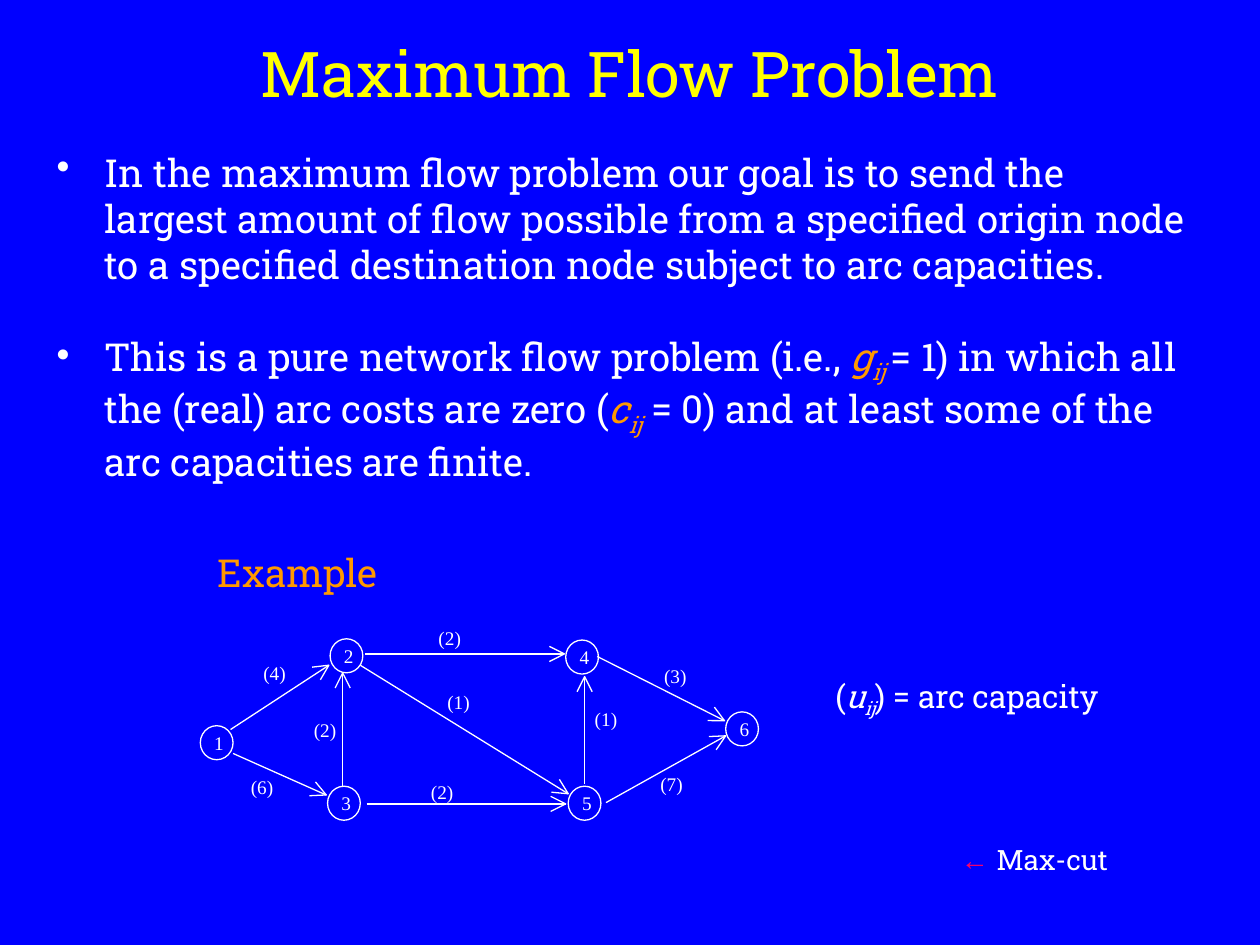
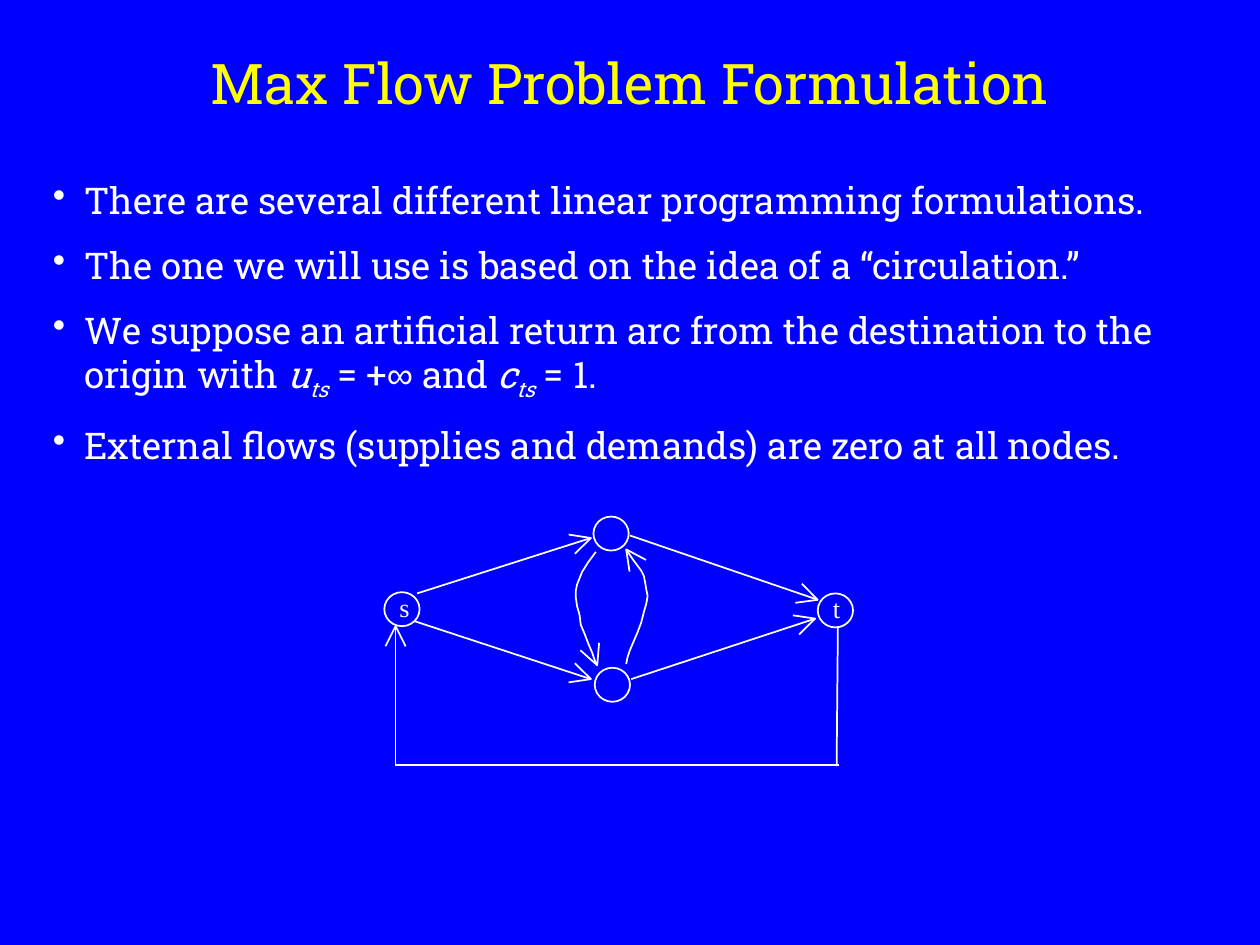
from math import hypot

from lxml.etree import SubElement
from pptx import Presentation
from pptx.dml.color import RGBColor
from pptx.enum.shapes import MSO_CONNECTOR, MSO_SHAPE
from pptx.enum.text import MSO_ANCHOR, MSO_AUTO_SIZE, PP_ALIGN
from pptx.oxml.ns import qn
from pptx.util import Inches, Pt

# Shared look
BLUE = RGBColor(0x00, 0x00, 0xFF)
WHITE = RGBColor(0xFF, 0xFF, 0xFF)
YELLOW = RGBColor(0xFF, 0xFF, 0x00)
ORANGE = RGBColor(0xFF, 0x99, 0x00)
PINK = RGBColor(0xFF, 0x00, 0x66)
SLAB, SANS, SERIF = "Roboto Slab", "Arial", "Times New Roman"


# Text: a paragraph is a string or a list of (text, options) runs
def variable(letter, index, color=WHITE):
    return [(letter, dict(color=color, italic=True)),
            (index, dict(color=color, italic=True, sub=True))]


def fill_paragraph(paragraph, runs, size, font, color):
    if isinstance(runs, str):
        runs = [(runs, {})]
    for text, options in runs:
        run = paragraph.add_run()
        run.text = text
        run.font.size = Pt(size)
        run.font.name = options.get("font", font)
        run.font.color.rgb = options.get("color", color)
        run.font.italic = options.get("italic", False)
        if options.get("sub"):
            run._r.get_or_add_rPr().set("baseline", "-25000")


def add_text(slide, box, runs, size, font=SLAB, color=WHITE, wrap=False,
             margins=(0, 0), align=PP_ALIGN.LEFT):
    frame = slide.shapes.add_textbox(*map(Inches, box)).text_frame
    frame.word_wrap = wrap
    frame.auto_size = MSO_AUTO_SIZE.SHAPE_TO_FIT_TEXT
    frame.margin_left = frame.margin_right = Inches(margins[0])
    frame.margin_top = frame.margin_bottom = Inches(margins[1])
    frame.paragraphs[0].alignment = align
    fill_paragraph(frame.paragraphs[0], runs, size, font, color)
    return frame


def add_title(slide, text, top, height, size):
    frame = add_text(slide, (0.75, top, 8.5, height), text, size, color=YELLOW,
                     wrap=True, margins=(0.1, 0.05), align=PP_ALIGN.CENTER)
    frame.auto_size = MSO_AUTO_SIZE.NONE
    frame.vertical_anchor = MSO_ANCHOR.MIDDLE


def add_bullets(slide, box, items, size, indent, gap):
    frame = add_text(slide, box, [], size, wrap=True)
    for number, runs in enumerate(items):
        paragraph = frame.add_paragraph() if number else frame.paragraphs[0]
        if number:
            paragraph.space_before = Pt(gap)
        props = paragraph._p.get_or_add_pPr()
        props.set("marL", str(Inches(indent)))
        props.set("indent", str(-Inches(indent)))
        bullet_color = SubElement(props, qn("a:buClr"))
        SubElement(bullet_color, qn("a:srgbClr")).set("val", str(WHITE))
        SubElement(props, qn("a:buChar")).set("char", "•")
        fill_paragraph(paragraph, runs, size, SLAB, WHITE)


# Network parts
def add_line(slide, start, end, weight):
    line = slide.shapes.add_connector(
        MSO_CONNECTOR.STRAIGHT, *map(Inches, (*start, *end)))
    line.line.color.rgb = WHITE
    line.line.width = Pt(weight)
    SubElement(line._element.spPr, qn("a:effectLst"))


def add_outline(slide, points, weight):
    corners = [(Inches(x), Inches(y)) for x, y in points]
    builder = slide.shapes.build_freeform(*corners[0])
    builder.add_line_segments(corners[1:], close=False)
    outline = builder.convert_to_shape()
    outline.shadow.inherit = False
    outline.fill.background()
    outline.line.color.rgb = WHITE
    outline.line.width = Pt(weight)


def add_head(slide, start, tip, length, weight):
    """Open arrowhead at tip, as wide as it is long."""
    dx, dy = tip[0] - start[0], tip[1] - start[1]
    scale = length / hypot(dx, dy)
    dx, dy = dx * scale, dy * scale
    left = (tip[0] - dx - dy / 2, tip[1] - dy + dx / 2)
    right = (tip[0] - dx + dy / 2, tip[1] - dy - dx / 2)
    add_outline(slide, [left, tip, right], weight)


def add_arc(slide, start, end, head, weight):
    add_line(slide, start, end, weight)
    add_head(slide, start, end, head, weight)


def add_curved_arc(slide, points, head, weight):
    add_outline(slide, points, weight)
    add_head(slide, points[-3], points[-1], head, weight)


def add_node(slide, left, top, width, weight):
    node = slide.shapes.add_shape(
        MSO_SHAPE.OVAL, *map(Inches, (left, top, width, 0.27)))
    node.shadow.inherit = False
    node.fill.solid()
    node.fill.fore_color.rgb = BLUE
    node.line.color.rgb = WHITE
    node.line.width = Pt(weight)


def add_slide(prs):
    slide = prs.slides.add_slide(prs.slide_layouts[6])
    slide.background.fill.solid()
    slide.background.fill.fore_color.rgb = BLUE
    return slide


# Slide 1
def build_problem(prs):
    slide = add_slide(prs)
    add_title(slide, "Maximum Flow Problem", 0.26, 0.62, 36)
    add_bullets(slide, (0.45, 1.18, 9.01, 3.03), [
        "In the maximum flow problem our goal is to send the largest amount of "
        "flow possible from a specified origin node to a specified destination "
        "node subject to arc capacities.",
        [("This is a pure network flow problem (i.e., ", {}),
         *variable("g", "ij ", ORANGE),
         ("= 1) in which all the (real) arc costs are zero (", {}),
         *variable("c", "ij", ORANGE),
         (" = 0) and at least some of the arc capacities are finite.", {})],
    ], size=22, indent=0.38, gap=26)
    add_text(slide, (1.73, 4.36, 1.29, 0.37), "Example", 22, color=ORANGE)

    # Numbered nodes
    nodes = [(1.59, 5.76), (2.62, 5.07), (2.6, 6.24),
             (4.49, 5.08), (4.51, 6.24), (5.76, 5.65)]
    for number, (left, top) in enumerate(nodes, 1):
        add_node(slide, left, top, 0.26, 0.75)
        add_text(slide, (left + 0.11, top + 0.04, 0.08, 0.18), str(number), 11, SERIF)

    # Arcs: start, end, capacity, place of the capacity
    arcs = [
        ((1.85, 5.98), (2.59, 6.31), 6, (1.99, 6.15)),
        ((1.83, 5.79), (2.61, 5.28), 4, (2.09, 5.25)),
        ((2.9, 5.19), (4.48, 5.19), 2, (3.48, 4.97)),
        ((2.86, 5.28), (4.51, 6.3), 1, (3.55, 5.48)),
        ((4.74, 5.21), (5.75, 5.72), 3, (5.27, 5.27)),
        ((2.91, 6.38), (4.49, 6.38), 2, (3.42, 6.19)),
        ((4.81, 6.37), (5.76, 5.84), 7, (5.24, 6.13)),
        ((2.72, 6.24), (2.72, 5.34), 2, (2.49, 5.7)),
        ((4.64, 6.22), (4.64, 5.37), 1, (4.72, 5.61)),
    ]
    for start, end, capacity, place in arcs:
        add_arc(slide, start, end, 0.12, 0.75)
        add_text(slide, (*place, 0.18, 0.18), f"({capacity})", 11, SERIF)

    # Legend
    add_text(slide, (6.63, 5.37, 2.17, 0.34),
             [("(", {}), *variable("u", "ij"), (") = arc capacity", {})], 18)
    add_text(slide, (7.43, 6.64, 1.56, 0.37),
             [("← ", dict(font=SANS, color=PINK)), ("Max-cut", {})], 16,
             wrap=True, margins=(0.1, 0.05), align=PP_ALIGN.CENTER)


# Slide 2
def build_formulation(prs):
    slide = add_slide(prs)
    add_title(slide, "Max Flow Problem Formulation", 0.38, 0.55, 32)
    add_bullets(slide, (0.42, 1.41, 8.92, 2.3), [
        "There are several different linear programming formulations.",
        "The one we will use is based on the idea of a “circulation.”",
        [("We suppose an artificial return arc from the destination to the "
          "origin with ", {}),
         *variable("u", "ts"), (" = +", {}), ("∞", dict(font=SANS)),
         (" and ", {}), *variable("c", "ts"), (" = 1.", {})],
        "External flows (supplies and demands) are zero at all nodes.",
    ], size=21, indent=0.25, gap=12)

    # Destination, origin and the two middle nodes
    nodes = [(6.49, 4.71, "t"), (3.05, 4.7, "s"), (4.71, 4.1, ""), (4.72, 5.3, "")]
    for left, top, name in nodes:
        add_node(slide, left, top, 0.28, 1)
        if name:
            add_text(slide, (left + 0.12, top - 0.01, 0.08, 0.25), name, 15, SERIF)

    # Straight arcs, the last one closing the return path
    arcs = [((3.31, 4.71), (4.69, 4.27)), ((5, 4.25), (6.49, 4.76)),
            ((3.29, 4.93), (4.69, 5.39)), ((5.01, 5.39), (6.47, 4.91)),
            ((3.14, 6.08), (3.14, 4.97))]
    for start, end in arcs:
        add_arc(slide, start, end, 0.16, 1)
    add_line(slide, (6.65, 4.97), (6.64, 6.08), 1)
    add_line(slide, (6.66, 6.07), (3.14, 6.07), 1)

    # Curved arcs between the middle nodes
    downward = [(4.73, 4.38), (4.67, 4.46), (4.62, 4.54), (4.6, 4.59), (4.58, 4.64),
                (4.57, 4.69), (4.57, 4.74), (4.58, 4.81), (4.6, 4.88), (4.61, 4.96),
                (4.64, 5.03), (4.67, 5.11), (4.7, 5.18), (4.72, 5.24), (4.74, 5.28)]
    upward = [(4.97, 5.27), (4.98, 5.22), (5, 5.16), (5.03, 5.09), (5.06, 5.02),
              (5.09, 4.94), (5.11, 4.86), (5.13, 4.79), (5.14, 4.73), (5.13, 4.68),
              (5.12, 4.62), (5.11, 4.57), (5.09, 4.53), (5.03, 4.45), (4.97, 4.36)]
    for curve in (downward, upward):
        add_curved_arc(slide, curve, 0.16, 1)


def main():
    prs = Presentation()
    prs.slide_width, prs.slide_height = Inches(10), Inches(7.5)
    build_problem(prs)
    build_formulation(prs)
    prs.save("out.pptx")


if __name__ == "__main__":
    main()
